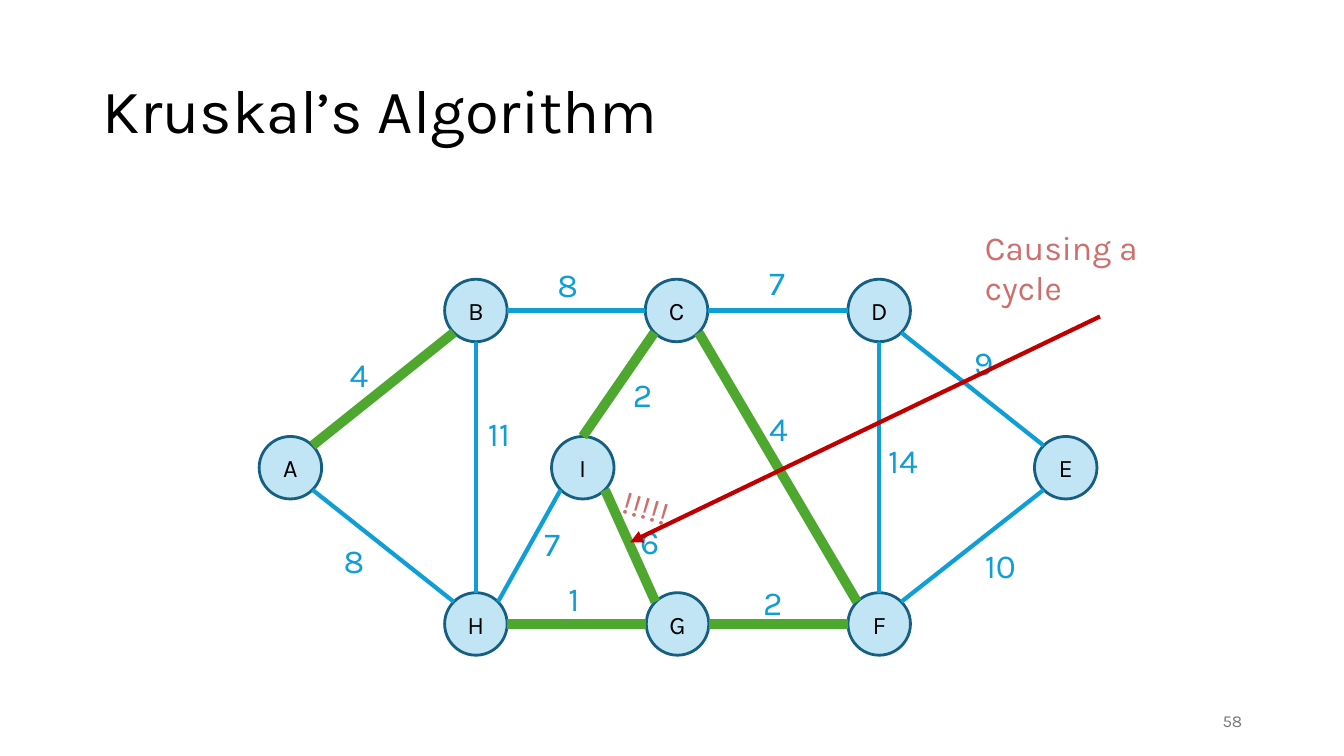
"""Build a slide of Kruskal's algorithm meeting an edge that closes a cycle."""
import pptx
import pptx.util
import pptx.dml.color
import pptx.enum.shapes
import pptx.enum.text
import pptx.oxml
import pptx.oxml.ns
from dataclasses import dataclass
from pptx.util import Inches


@dataclass(frozen=True)
class Theme:
    font: str = "Karla"
    ink: str = "000000"
    gray: str = "797979"
    node: str = "C1E5F5"
    rim: str = "156082"
    edge: str = "0F9ED5"
    tree: str = "4EA72E"
    warn: str = "CF6E6C"
    arrow: str = "C00000"
    title: int = 44
    label: int = 24
    name: int = 18
    small: int = 12
    thin: int = 3
    thick: int = 7


look = Theme()
rgb = pptx.dml.color.RGBColor.from_string
align = pptx.enum.text.PP_ALIGN
middle = pptx.enum.text.MSO_ANCHOR.MIDDLE

deck = pptx.Presentation()
deck.slide_width, deck.slide_height = Inches(13.33), Inches(7.5)
slide = deck.slides.add_slide(deck.slide_layouts[5])
shapes = slide.shapes


def write(shape, text, size, color, side=align.LEFT, anchor=None):
    frame = shape.text_frame
    frame.text = text
    frame.word_wrap = True
    if anchor is not None:
        frame.vertical_anchor = anchor
    para = frame.paragraphs[0]
    para.alignment = side
    font = para.runs[0].font
    font.name, font.size = look.font, pptx.util.Pt(size)
    font.color.rgb = rgb(color)


def draw(start, end, color, width):
    kind = pptx.enum.shapes.MSO_CONNECTOR.STRAIGHT
    line = shapes.add_connector(kind, *[Inches(v) for v in (*start, *end)])
    line.line.color.rgb = rgb(color)
    line.line.width = pptx.util.Pt(width)
    props = line._element.spPr
    props.append(pptx.oxml.parse_xml(f"<a:effectLst {pptx.oxml.ns.nsdecls('a')}/>"))
    return line


title = shapes.title
title.left, title.top = Inches(0.92), Inches(0.4)
title.width, title.height = Inches(11.5), Inches(1.45)
write(title, "Kruskal’s Algorithm", look.title, look.ink, anchor=middle)
title.text_frame.paragraphs[0].line_spacing = 0.9

page = shapes.add_textbox(Inches(9.42), Inches(6.95), Inches(3), Inches(0.4))
write(page, "58", look.small, look.gray, align.RIGHT, middle)

radius = 0.31
high, mid, low = 3.08, 4.64, 6.19
nodes = {
    "D": (8.72, high), "C": (6.71, high), "B": (4.72, high),
    "A": (2.88, mid), "I": (5.78, mid), "E": (10.57, mid),
    "H": (4.72, low), "G": (6.72, low), "F": (8.72, low),
}
for name, (x, y) in nodes.items():
    oval = shapes.add_shape(
        pptx.enum.shapes.MSO_SHAPE.OVAL, Inches(x - radius), Inches(y - radius),
        Inches(2 * radius), Inches(2 * radius))
    oval.shadow.inherit = False
    oval.fill.solid()
    oval.fill.fore_color.rgb = rgb(look.node)
    oval.line.color.rgb = rgb(look.rim)
    oval.line.width = pptx.util.Pt(2)
    write(oval, name, look.name, look.ink, align.CENTER, middle)

slant = 0.22
sites = {
    "N": (0, -radius), "S": (0, radius), "W": (-radius, 0), "E": (radius, 0),
    "NW": (-slant, -slant), "NE": (slant, -slant),
    "SW": (-slant, slant), "SE": (slant, slant),
}
edges = [
    ("C", "SE", "F", "NW", "4", 7.53, 4, True),
    ("C", "E", "D", "W", "7", 7.53, 2.55, False),
    ("E", "NW", "D", "SE", "9", 9.56, 3.34, False),
    ("E", "SW", "F", "NE", "10", 9.67, 5.36, False),
    ("D", "S", "F", "N", "14", 8.71, 4.32, False),
    ("I", "SE", "G", "NW", "6", 6.25, 5.12, True),
    ("G", "E", "F", "W", "2", 7.47, 5.72, True),
    ("I", "N", "C", "SW", "2", 6.18, 3.66, True),
    ("B", "E", "C", "W", "8", 5.43, 2.57, False),
    ("A", "NE", "B", "SW", "4", 3.37, 3.46, True),
    ("A", "SE", "H", "NW", "8", 3.31, 5.31, False),
    ("G", "W", "H", "E", "1", 5.54, 5.68, True),
    ("I", "SW", "H", "NE", "7", 5.3, 5.14, False),
    ("H", "N", "B", "S", "11", 4.74, 4.05, False),
]
for one, out, two, into, cost, x, y, kept in edges:
    start, end = [
        [c + d for c, d in zip(nodes[name], sites[site])]
        for name, site in ((one, out), (two, into))]
    draw(start, end, look.tree if kept else look.edge, look.thick if kept else look.thin)
    label = shapes.add_textbox(Inches(x), Inches(y), Inches(0.86), Inches(0.5))
    write(label, cost, look.label, look.edge)

notes = [("!!!!!", 6.07, 4.9, 1.56, 16.5), ("Causing a cycle", 9.67, 2.2, 2.5, 0)]
for text, x, y, width, turn in notes:
    note = shapes.add_textbox(Inches(x), Inches(y), Inches(width), Inches(0.5))
    note.rotation = turn
    write(note, text, look.label, look.warn)

arrow = draw((10.91, 3.14), (6.25, 5.38), look.arrow, look.thin)
arrow.line._get_or_add_ln().append(pptx.oxml.parse_xml(
    f"<a:tailEnd {pptx.oxml.ns.nsdecls('a')} type='triangle'/>"))

deck.save("out.pptx")
